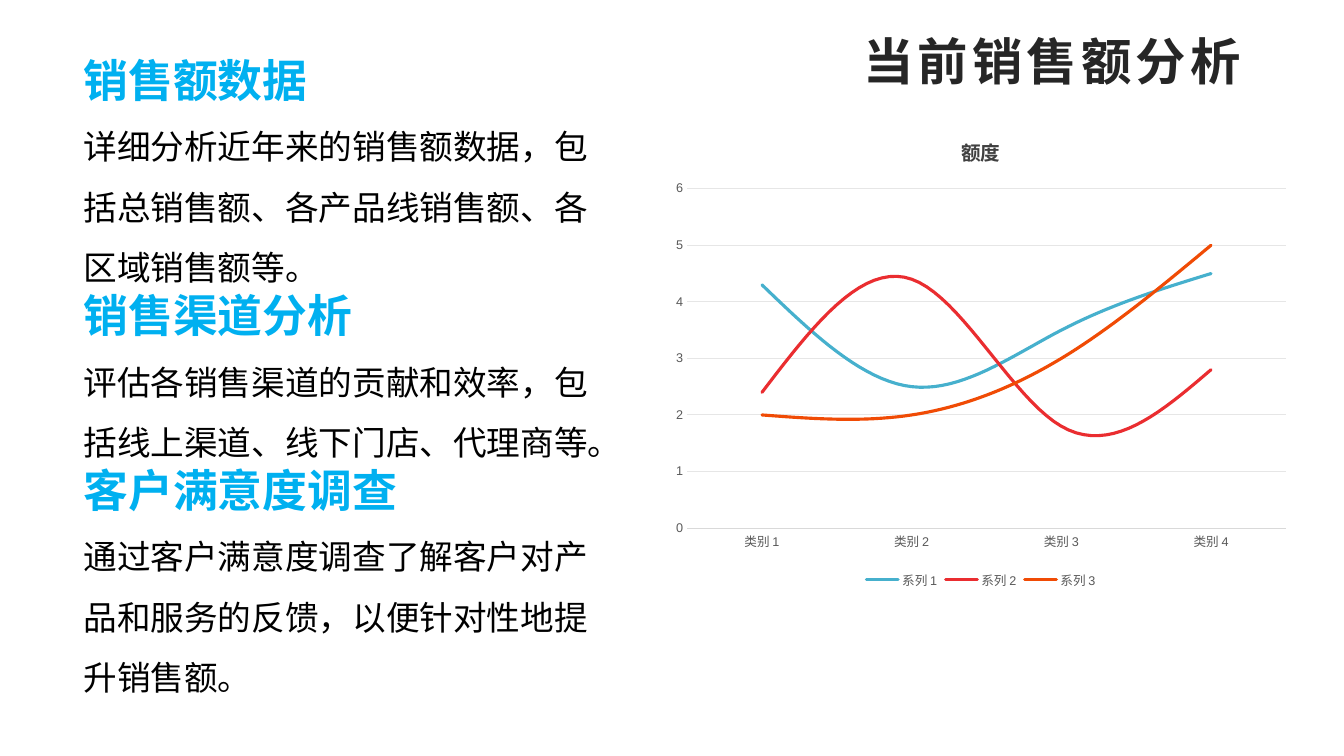
from dataclasses import dataclass

from lxml.etree import SubElement
from pptx import Presentation
from pptx.chart.data import CategoryChartData
from pptx.dml.color import RGBColor
from pptx.enum.chart import XL_CHART_TYPE, XL_LEGEND_POSITION, XL_TICK_MARK
from pptx.enum.lang import MSO_LANGUAGE_ID
from pptx.enum.text import MSO_ANCHOR, MSO_AUTO_SIZE, PP_ALIGN
from pptx.oxml.ns import qn
from pptx.util import Inches, Pt


@dataclass(frozen=True)
class Theme:
    """Colours, fonts and type sizes of the slide."""
    latin: str = "Arial"
    asian: str = "Noto Sans CJK SC"
    title: str = "262626"
    heading: str = "00B0F0"
    body: str = "000000"
    chart_title: str = "404040"
    label: str = "595959"
    axis: str = "D9D9D9"
    grid: str = "E6E6E6"
    series: tuple = ("46B0CD", "EA2D30", "F04B05")
    title_size: int = 36
    heading_size: int = 32
    body_size: int = 24
    chart_title_size: int = 14
    label_size: int = 9


THEME = Theme()

SECTIONS = (
    ("销售额数据", "详细分析近年来的销售额数据，包括总销售额、各产品线销售额、各区域销售额等。"),
    ("销售渠道分析", "评估各销售渠道的贡献和效率，包括线上渠道、线下门店、代理商等。"),
    ("客户满意度调查", "通过客户满意度调查了解客户对产品和服务的反馈，以便针对性地提升销售额。"),
)
CATEGORIES = ("类别 1", "类别 2", "类别 3", "类别 4")
SERIES = (
    ("系列 1", (4.3, 2.5, 3.5, 4.5)),
    ("系列 2", (2.4, 4.4, 1.8, 2.8)),
    ("系列 3", (2, 2, 3, 5)),
)


def style_font(font, size, color, name=THEME.latin, bold=False):
    """Set the size, colour, typeface and weight of a font."""
    font.size = Pt(size)
    font.name = name
    font.bold = bold
    font.color.rgb = RGBColor.from_string(color)


def write(p, text, spacing=None, line_spacing=None, **fmt):
    """Write one formatted run of text into a paragraph."""
    p.alignment = PP_ALIGN.LEFT
    if line_spacing:
        p.line_spacing = line_spacing
    r = p.add_run()
    r.text = text
    style_font(r.font, **fmt)
    r.font.language_id = MSO_LANGUAGE_ID.SIMPLIFIED_CHINESE
    rPr = r.font._element
    SubElement(rPr, qn("a:ea")).set("typeface", THEME.asian)
    if spacing:
        rPr.set("spc", str(spacing * 100))


def style_line(line, color, width):
    """Set the colour and width of a line."""
    line.color.rgb = RGBColor.from_string(color)
    line.width = Pt(width)


def add_title(s, text, x, y, w, h):
    """Place the slide title in its box."""
    sp = s.shapes.title
    sp.left, sp.top, sp.width, sp.height = map(Inches, (x, y, w, h))
    tf = sp.text_frame
    tf.auto_size = MSO_AUTO_SIZE.NONE
    tf.vertical_anchor = MSO_ANCHOR.MIDDLE
    write(tf.paragraphs[0], text, size=THEME.title_size, color=THEME.title,
          bold=True, spacing=3)


def add_sections(s, sections, x, y, w, h):
    """Place headings, each followed by its explanation, in one text box."""
    tf = s.shapes.add_textbox(*map(Inches, (x, y, w, h))).text_frame
    tf.word_wrap = True
    tf.auto_size = MSO_AUTO_SIZE.SHAPE_TO_FIT_TEXT
    p = tf.paragraphs[0]
    for i, (heading, body) in enumerate(sections):
        if i:
            p = tf.add_paragraph()
        write(p, heading, size=THEME.heading_size, color=THEME.heading,
              name=THEME.asian, bold=True)
        write(tf.add_paragraph(), body, size=THEME.body_size, color=THEME.body,
              line_spacing=1.5)


def style_axes(chart):
    """Format the axes and gridlines of a chart."""
    for axis in (chart.category_axis, chart.value_axis):
        axis.major_tick_mark = axis.minor_tick_mark = XL_TICK_MARK.NONE
        style_font(axis.tick_labels.font, THEME.label_size, THEME.label)
    style_line(chart.category_axis.format.line, THEME.axis, 0.75)
    values = chart.value_axis
    values.minimum_scale, values.maximum_scale, values.major_unit = 0, 6, 1
    values.format.line.fill.background()
    style_line(values.major_gridlines.format.line, THEME.grid, 0.75)


def add_sales_chart(s, title, x, y, w, h):
    """Place the smooth line chart with its title and legend."""
    data = CategoryChartData()
    data.categories = CATEGORIES
    for name, values in SERIES:
        data.add_series(name, values)
    chart = s.shapes.add_chart(XL_CHART_TYPE.LINE, *map(Inches, (x, y, w, h)), data).chart
    style_font(chart.font, 10, THEME.body)
    chart.has_title = True
    write(chart.chart_title.text_frame.paragraphs[0], title,
          size=THEME.chart_title_size, color=THEME.chart_title, bold=True)
    chart.chart_title.include_in_layout = False
    style_axes(chart)
    chart.has_legend = True
    chart.legend.position = XL_LEGEND_POSITION.BOTTOM
    chart.legend.include_in_layout = False
    style_font(chart.legend.font, THEME.label_size, THEME.label)
    plot = chart.plots[0]
    plot.vary_by_categories = False
    for series, color in zip(plot.series, THEME.series):
        series.smooth = True
        style_line(series.format.line, color, 2.25)
        series.format.line._ln.set("cap", "rnd")


def main():
    """Build the sales analysis slide and save it."""
    prs = Presentation()
    prs.slide_width, prs.slide_height = Inches(13.33), Inches(7.5)
    s = prs.slides.add_slide(prs.slide_layouts[5])
    add_title(s, "当前销售额分析", 8.46, 0.21, 4.63, 0.77)
    add_sections(s, SECTIONS, 0.73, 0.47, 5.48, 6.56)
    add_sales_chart(s, "额度", 6.58, 1.16, 6.3, 4.72)
    prs.save("out.pptx")


if __name__ == "__main__":
    main()
